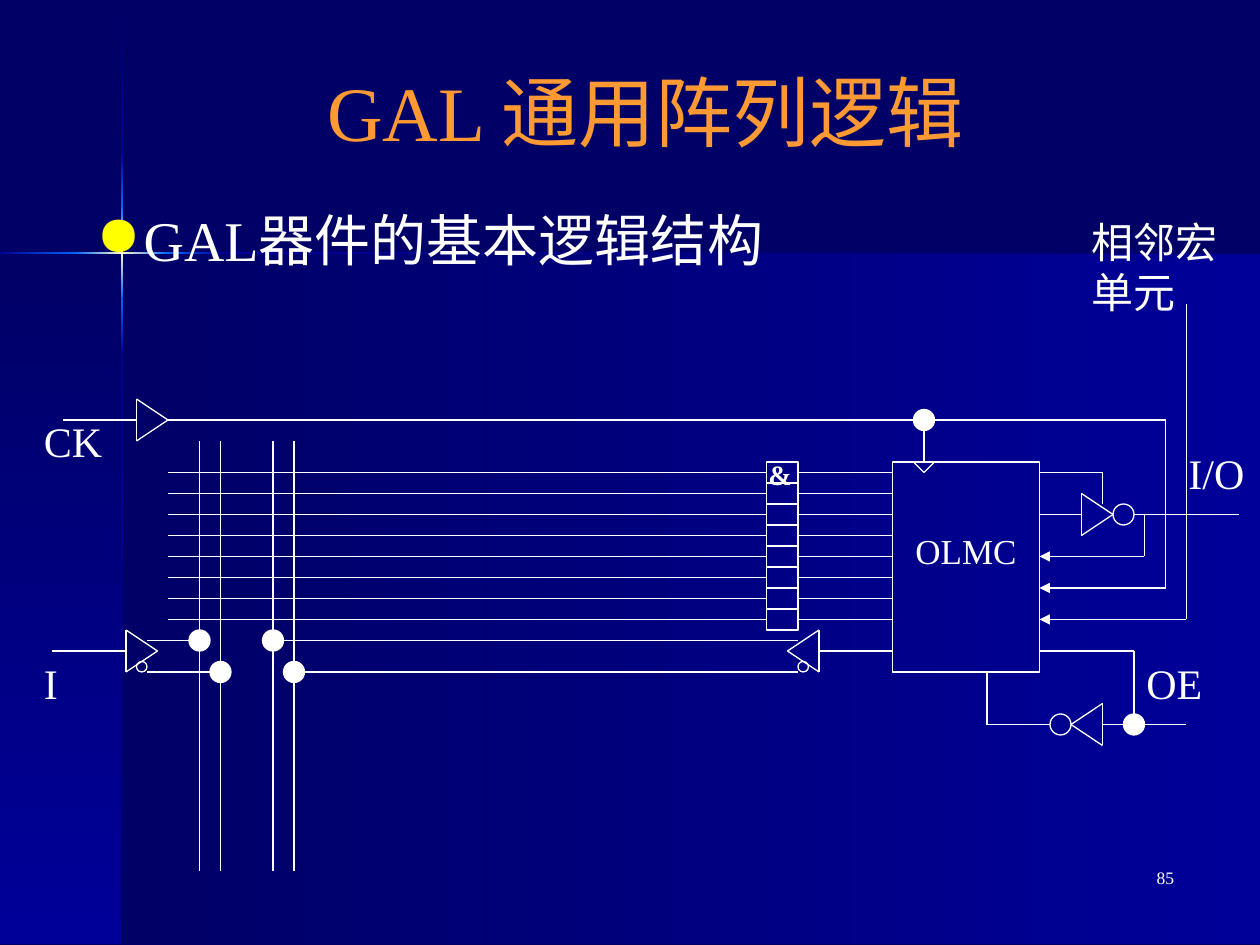
import copy
import itertools
from dataclasses import dataclass

import pptx
import pptx.dml.color
import pptx.enum.shapes
import pptx.enum.text
import pptx.oxml.ns
import pptx.oxml.xmlchemy
import pptx.util
from lxml import etree

PX = 7620  # 120 px to the inch


@dataclass(frozen=True)
class Theme:
    font: str = "Times New Roman"
    navy: str = "000066"
    blue: str = "000099"
    glow: str = "0066FF"
    spark: str = "FFFFCC"
    ink: str = "FFFFFF"
    title: str = "FF9933"
    bullet: str = "FFFF00"
    title_size: int = 44
    body_size: int = 32
    label_size: int = 24
    block_size: int = 20
    gate_size: int = 16
    number_size: int = 10
    line_width: float = 0.75


theme = Theme()
rgb = pptx.dml.color.RGBColor.from_string
qn = pptx.oxml.ns.qn
PRESET = pptx.enum.shapes.MSO_SHAPE
ALIGN = pptx.enum.text.PP_ALIGN
ANCHOR = pptx.enum.text.MSO_ANCHOR

deck = pptx.Presentation()
deck.slide_width, deck.slide_height = 1200 * PX, 900 * PX
page = deck.slides.add_slide(deck.slide_layouts[5])
page.background.fill.solid()
page.background.fill.fore_color.rgb = rgb(theme.navy)


def write_text(text, area, size=theme.label_size, color=theme.ink, bold=False, box=None,
               align=ALIGN.LEFT, anchor=ANCHOR.TOP, side=12, wrap=True, bullet=None):
    """Put text in a new text box, or in the given one, at area (left, top, width, height)."""
    place = [value * PX for value in area]
    if box is None:
        box = page.shapes.add_textbox(*place)
    box.left, box.top, box.width, box.height = place
    frame = box.text_frame
    frame.auto_size = pptx.enum.text.MSO_AUTO_SIZE.NONE
    frame.word_wrap = wrap
    frame.vertical_anchor = anchor
    frame.margin_left = frame.margin_right = side * PX
    frame.margin_top = frame.margin_bottom = 6 * PX
    para = frame.paragraphs[0]
    para.alignment = align
    if bullet:
        properties = para._p.get_or_add_pPr()
        properties.set("marL", str(45 * PX))
        properties.set("indent", str(-45 * PX))
        bullet_color = etree.SubElement(properties, qn("a:buClr"))
        etree.SubElement(bullet_color, qn("a:srgbClr")).set("val", theme.bullet)
        etree.SubElement(properties, qn("a:buChar")).set("char", bullet)
    span = para.add_run()
    span.text = text
    span.font.name = theme.font
    span.font.size = pptx.util.Pt(size)
    span.font.bold = bold
    span.font.color.rgb = rgb(color)


def draw_wire(*points, arrow=False):
    """Join the points with straight lines; arrow puts a head on the last one."""
    for start, end in itertools.pairwise(points):
        wire = page.shapes.add_connector(
            pptx.enum.shapes.MSO_CONNECTOR.STRAIGHT, *(value * PX for value in start + end))
        wire.line.color.rgb = rgb(theme.ink)
        wire.line.width = pptx.util.Pt(theme.line_width)
        if arrow and end == points[-1]:
            etree.SubElement(wire.line._get_or_add_ln(), qn("a:tailEnd")).set("type", "triangle")
        etree.SubElement(wire._element.spPr, qn("a:effectLst"))


# Background panels and the glowing cross; angle 270 runs from top to bottom
fade_in = (theme.navy, theme.blue)
fade_out = (theme.blue, theme.navy)
brighten = (theme.blue, theme.glow)
dim = (theme.glow, theme.blue)
flash = (theme.glow, theme.spark, theme.glow)
backdrop = [
    ((116, 241, 1084, 658), fade_in, 0),
    ((0, 241, 116, 658), fade_in, 270),
    ((115, 0, 2, 145), fade_in, 270),
    ((115, 337, 2, 562), fade_out, 270),
    ((212, 240, 988, 2), fade_out, 0),
    ((115, 284, 2, 53), dim, 270),
    ((115, 145, 2, 52), brighten, 270),
    ((115, 197, 2, 87), flash, 270),
    ((0, 240, 73, 2), brighten, 0),
    ((160, 240, 52, 2), dim, 0),
    ((72, 240, 88, 2), flash, 0),
]
for area, colors, angle in backdrop:
    panel = page.shapes.add_shape(PRESET.RECTANGLE, *(value * PX for value in area))
    panel.shadow.inherit = False
    panel.line.fill.background()
    panel.fill.gradient()
    panel.fill.gradient_angle = angle
    stop_list = panel._element.spPr.find(".//" + qn("a:gsLst"))
    if len(colors) == 3:
        stop_list.insert(1, copy.deepcopy(stop_list[0]))
    for index, (stop, color) in enumerate(zip(panel.fill.gradient_stops, colors)):
        stop.color.rgb = rgb(color)
        stop.position = index / (len(colors) - 1)

write_text("GAL 通用阵列逻辑", (80, 40, 1070, 130), box=page.shapes.title, size=theme.title_size,
           color=theme.title, align=ALIGN.CENTER, anchor=ANCHOR.MIDDLE)
write_text("GAL器件的基本逻辑结构", (80, 190, 1070, 610), size=theme.body_size, bullet="●")
write_text("85", (880, 820, 250, 60), size=theme.number_size, align=ALIGN.RIGHT)

# Product-term rows on both sides of the AND gates, and the input columns
for row in range(450, 591, 20):
    draw_wire((160, row), (730, row))
    draw_wire((760, row), (850, row))
for column in (190, 210, 260, 280):
    draw_wire((column, 420), (column, 830))

# Buffers: base x, tip x, centre y
for base, tip, middle in [(130, 160, 400), (120, 150, 620), (780, 750, 620),
                          (1030, 1060, 490), (1050, 1020, 690)]:
    draw_wire((base, middle - 20), (base, middle + 20), (tip, middle), (base, middle - 20))

# Clock
draw_wire((60, 400), (130, 400))
draw_wire((160, 400), (880, 400), (880, 440))
draw_wire((880, 400), (1110, 400), (1110, 560), (990, 560), arrow=True)
draw_wire((870, 440), (880, 450), (890, 440))
# Input and feedback
draw_wire((50, 620), (120, 620))
draw_wire((140, 610), (190, 610))
draw_wire((140, 640), (210, 640))
draw_wire((780, 620), (850, 620))
draw_wire((260, 610), (760, 610))
draw_wire((280, 640), (760, 640))
# Output
draw_wire((990, 490), (1030, 490))
draw_wire((1080, 490), (1180, 490))
draw_wire((990, 450), (1050, 450), (1050, 480))
draw_wire((1090, 490), (1090, 530), (990, 530), arrow=True)
draw_wire((1130, 290), (1130, 590), (990, 590), arrow=True)
# Output enable
draw_wire((1050, 690), (1130, 690))
draw_wire((990, 620), (1080, 620), (1080, 690))
draw_wire((1000, 690), (940, 690), (940, 640))

# Blocks, inversion circles and solid junctions
outlines = [(PRESET.RECTANGLE, (850, 440, 140, 200), False)]
outlines += [(PRESET.RECTANGLE, (730, top, 30, 20), False) for top in range(440, 581, 20)]
outlines += [(PRESET.OVAL, (x, y, size, size), False)
             for x, y, size in [(130, 630, 10), (760, 630, 10), (1060, 480, 20), (1000, 680, 20)]]
outlines += [(PRESET.OVAL, (x - 10, y - 10, 20, 20), True)
             for x, y in [(190, 610), (210, 640), (260, 610), (280, 640), (880, 400), (1080, 690)]]
for preset, area, solid in outlines:
    part = page.shapes.add_shape(preset, *(value * PX for value in area))
    part.shadow.inherit = False
    part.line.color.rgb = rgb(theme.ink)
    part.line.width = pptx.util.Pt(theme.line_width)
    if solid:
        part.fill.solid()
        part.fill.fore_color.rgb = rgb(theme.ink)
    else:
        part.fill.background()

write_text("OLMC", (860, 498, 130, 53), size=theme.block_size)
write_text("&", (720, 430, 50, 44), size=theme.gate_size, bold=True)
for label, left, top in [("I", 30, 620), ("CK", 30, 390), ("OE", 1080, 620), ("I/O", 1120, 420)]:
    write_text(label, (left, top, 80, 60), wrap=False)
write_text("相邻宏单元", (1040, 200, 140, 108), side=0)

deck.save("out.pptx")
